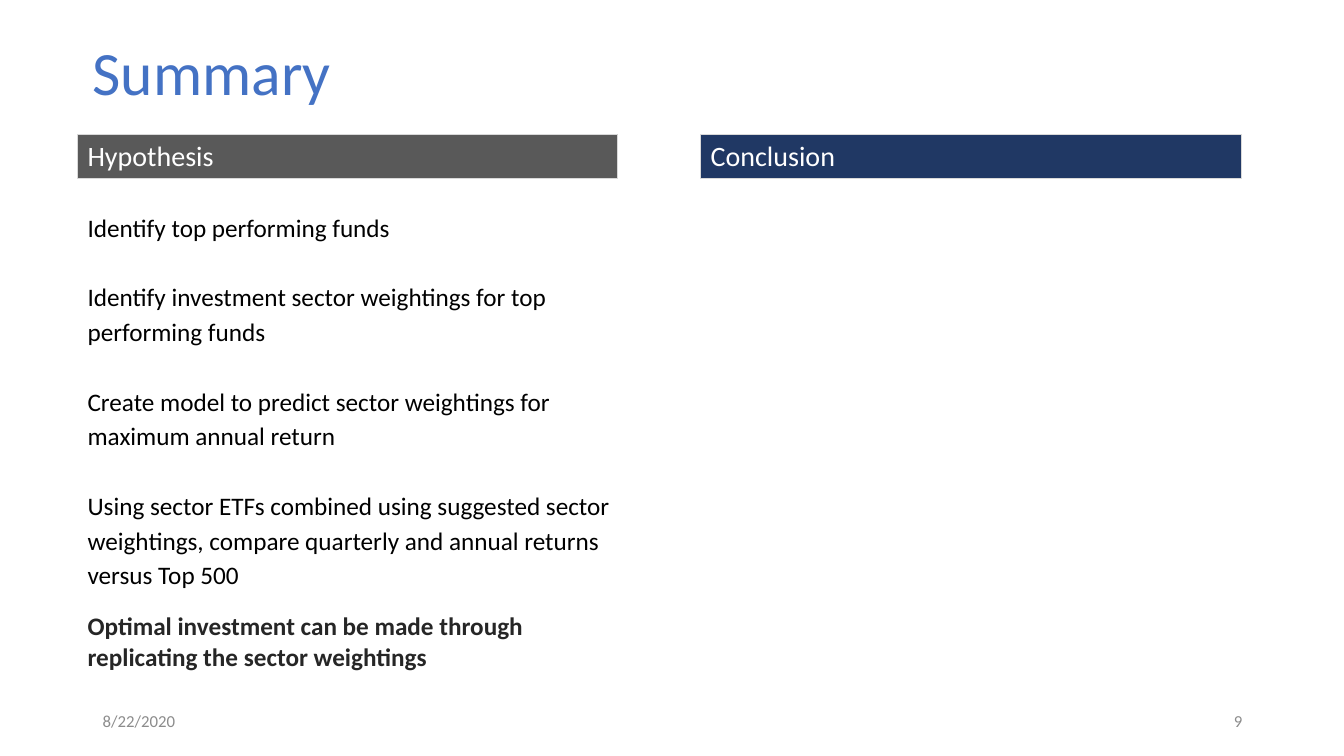
from dataclasses import dataclass

import pptx
import pptx.dml.color
import pptx.enum.shapes
import pptx.enum.text
import pptx.util
from pptx.util import Inches

COLORS = {
    "title": "4472C4",
    "hypothesis": "595959",
    "conclusion": "203864",
    "border": "D9D9D9",
    "white": "FFFFFF",
    "body": "000000",
    "result": "262626",
    "footer": "8C8C8C",
}
LEFT_COLUMN, RIGHT_COLUMN = 0.77, 6.95
FOOTER_TOP = 6.95
TOP = pptx.enum.text.MSO_ANCHOR.TOP
MIDDLE = pptx.enum.text.MSO_ANCHOR.MIDDLE
LEFT = pptx.enum.text.PP_ALIGN.LEFT
RIGHT = pptx.enum.text.PP_ALIGN.RIGHT


@dataclass(frozen=True)
class TextBlock:
    paragraphs: tuple[str, ...]
    left: float
    top: float
    width: float
    height: float
    size: int
    color: str
    fill: str | None = None
    bold: bool = False
    anchor: pptx.enum.text.MSO_ANCHOR = TOP
    alignment: pptx.enum.text.PP_ALIGN = LEFT
    line_spacing: float = 1.0
    gap: float = 0


def header(text: str, left: float, fill: str) -> TextBlock:
    return TextBlock((text,), left, 1.33, 5.36, 0.44, 20, "white", fill=fill)


def footer(text: str, left: float, alignment: pptx.enum.text.PP_ALIGN) -> TextBlock:
    return TextBlock((text,), left, FOOTER_TOP, 3, 0.4, 12, "footer",
                     anchor=MIDDLE, alignment=alignment)


HYPOTHESIS_STEPS = (
    "Identify top performing funds",
    "Identify investment sector weightings for top performing funds",
    "Create model to predict sector weightings for maximum annual return",
    "Using sector ETFs combined using suggested sector weightings, "
    "compare quarterly and annual returns versus Top 500",
)
RESULT = "Optimal investment can be made through replicating the sector weightings"

BLOCKS = (
    footer("8/22/2020", 0.92, LEFT),
    footer("9", 9.42, RIGHT),
    TextBlock(("Summary",), 0.82, 0.29, 11.5, 0.91, 44, "title",
              anchor=MIDDLE, line_spacing=0.9),
    header("Hypothesis", LEFT_COLUMN, "hypothesis"),
    header("Conclusion", RIGHT_COLUMN, "conclusion"),
    TextBlock(HYPOTHESIS_STEPS, LEFT_COLUMN, 2.01, 5.61, 3.91, 18, "body",
              line_spacing=1.15, gap=24.8),
    TextBlock((RESULT,), LEFT_COLUMN, 6.01, 5.61, 0.71, 18, "result", bold=True),
)


def rgb(name: str) -> pptx.dml.color.RGBColor:
    return pptx.dml.color.RGBColor.from_string(COLORS[name])


def apply_format(target: object, values: dict[str, object]) -> None:
    for name, value in values.items():
        setattr(target, name, value)


def add_block(slide: pptx.slide.Slide, block: TextBlock) -> None:
    """Draw a text box, or a bordered rectangle if the block has a fill."""
    bounds = [Inches(n) for n in (block.left, block.top, block.width, block.height)]
    if block.fill is None:
        shape = slide.shapes.add_textbox(*bounds)
    else:
        rectangle = pptx.enum.shapes.MSO_SHAPE.RECTANGLE
        shape = slide.shapes.add_shape(rectangle, *bounds)
        shape.shadow.inherit = False
        shape.fill.solid()
        shape.fill.fore_color.rgb = rgb(block.fill)
        shape.line.color.rgb = rgb("border")
        shape.line.width = pptx.util.Pt(0.75)

    frame = shape.text_frame
    apply_format(frame, {"word_wrap": True, "vertical_anchor": block.anchor})
    frame.text = "\n".join(block.paragraphs)
    for paragraph in frame.paragraphs:
        apply_format(paragraph, {
            "alignment": block.alignment,
            "line_spacing": block.line_spacing,
            "space_after": pptx.util.Pt(block.gap),
        })
        font = paragraph.runs[0].font
        apply_format(font, {
            "name": "Calibri",
            "size": pptx.util.Pt(block.size),
            "bold": block.bold,
        })
        font.color.rgb = rgb(block.color)


def main() -> None:
    presentation = pptx.Presentation()
    presentation.slide_width = Inches(13.33)
    presentation.slide_height = Inches(7.5)
    slide = presentation.slides.add_slide(presentation.slide_layouts[6])
    for block in BLOCKS:
        add_block(slide, block)
    presentation.save("out.pptx")


if __name__ == "__main__":
    main()
